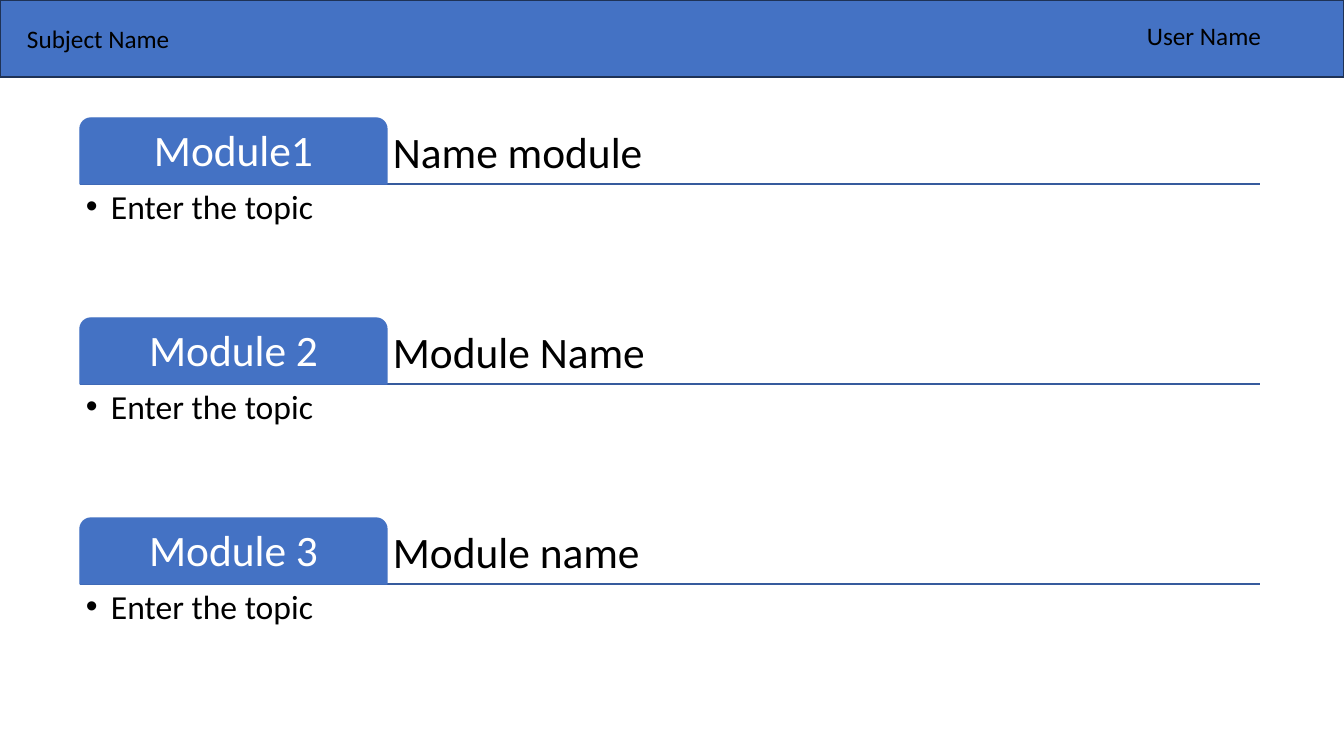
from lxml import etree
from pptx import Presentation
from pptx import util as u
from pptx.dml.color import RGBColor
from pptx.enum import shapes, text
from pptx.oxml.ns import qn

SLIDE_W, SLIDE_H = 1344, 756
EMU_PER_PX = 12192000 / SLIDE_W

BLUE = RGBColor(0x44, 0x72, 0xC4)
HEADER_EDGE = RGBColor(0x1E, 0x32, 0x56)
RULE_BLUE = RGBColor(0x36, 0x5B, 0x9D)
BLACK = RGBColor(0, 0, 0)
WHITE = RGBColor(0xFF, 0xFF, 0xFF)

HEADER_H = 77
LEFT, RIGHT = 80, 1260
FIRST_TOP, PITCH = 118, 200
TAB_W, TAB_H = 307, 66
TOPIC_H = 131
INSET = 6
BULLET_INDENT = 25

MODULES = [
    ("Module1", "Name module", "Enter the topic"),
    ("Module 2", "Module Name", "Enter the topic"),
    ("Module 3", "Module name", "Enter the topic"),
]


def px(*lengths):
    return [u.Emu(round(n * EMU_PER_PX)) for n in lengths]


def set_text(shape, words, size, color=BLACK, align=text.PP_ALIGN.LEFT,
             anchor=text.MSO_ANCHOR.TOP, inset=INSET, spacing=0.9, bullet=False):
    tf = shape.text_frame
    tf.word_wrap = True
    tf.vertical_anchor = anchor
    tf.margin_left, tf.margin_top, tf.margin_right, tf.margin_bottom = px(*[inset] * 4)
    p = tf.paragraphs[0]
    p.alignment = align
    p.line_spacing = spacing
    if bullet:
        add_bullet(p)
    r = p.add_run()
    r.text = words
    r.font.name = "Calibri"
    r.font.size = u.Pt(size)
    r.font.color.rgb = color


def add_bullet(p):
    indent, = px(BULLET_INDENT)
    pPr = p._p.get_or_add_pPr()
    pPr.set("marL", str(indent))
    pPr.set("indent", str(-indent))
    etree.SubElement(pPr, qn("a:buFont")).set("typeface", "Arial")
    etree.SubElement(pPr, qn("a:buChar")).set("char", "•")


def add_box(s, kind, x, y, w, h, edge):
    sp = s.shapes.add_shape(kind, *px(x, y, w, h))
    sp.shadow.inherit = False
    sp.fill.solid()
    sp.fill.fore_color.rgb = BLUE
    sp.line.color.rgb = edge
    sp.line.width = u.Pt(1)
    return sp


def add_label(s, words, x, y, w, h, size, **fmt):
    sp = s.shapes.add_textbox(*px(x, y, w, h))
    set_text(sp, words, size, **fmt)
    return sp


def add_header_label(s, words, x, y, w):
    """Add a one-line label that grows with its text."""
    sp = add_label(s, words, x, y, w, 40, 18, inset=10, spacing=1.0)
    sp.text_frame.margin_top, sp.text_frame.margin_bottom = px(5, 5)
    sp.text_frame.word_wrap = False
    sp.text_frame.auto_size = text.MSO_AUTO_SIZE.SHAPE_TO_FIT_TEXT


def add_rule(s, y):
    line = s.shapes.add_connector(shapes.MSO_CONNECTOR.STRAIGHT, *px(LEFT, y, RIGHT, y))
    line.line.color.rgb = RULE_BLUE
    line.line.width = u.Pt(1)
    etree.SubElement(line._element.spPr, qn("a:effectLst"))


def add_module(s, top, number, name, topic):
    base = top + TAB_H
    name_x = LEFT + TAB_W
    add_rule(s, base)
    add_label(s, name, name_x, top, RIGHT - name_x, TAB_H, 31,
              anchor=text.MSO_ANCHOR.BOTTOM)
    tab = add_box(s, shapes.MSO_SHAPE.ROUND_2_SAME_RECTANGLE,
                  LEFT, top, TAB_W, TAB_H, BLUE)
    set_text(tab, number, 31, color=WHITE, align=text.PP_ALIGN.CENTER,
             anchor=text.MSO_ANCHOR.MIDDLE)
    add_label(s, topic, LEFT, base, RIGHT - LEFT, TOPIC_H, 24, bullet=True)


def main():
    prs = Presentation()
    prs.slide_width, prs.slide_height = px(SLIDE_W, SLIDE_H)
    s = prs.slides.add_slide(prs.slide_layouts[6])
    add_box(s, shapes.MSO_SHAPE.RECTANGLE, 0, 0, SLIDE_W, HEADER_H, HEADER_EDGE)
    add_header_label(s, "User Name", 1137, 15, 135)
    add_header_label(s, "Subject Name", 17, 18, 164)
    for i, module in enumerate(MODULES):
        add_module(s, FIRST_TOP + i * PITCH, *module)
    prs.save("out.pptx")


if __name__ == "__main__":
    main()
